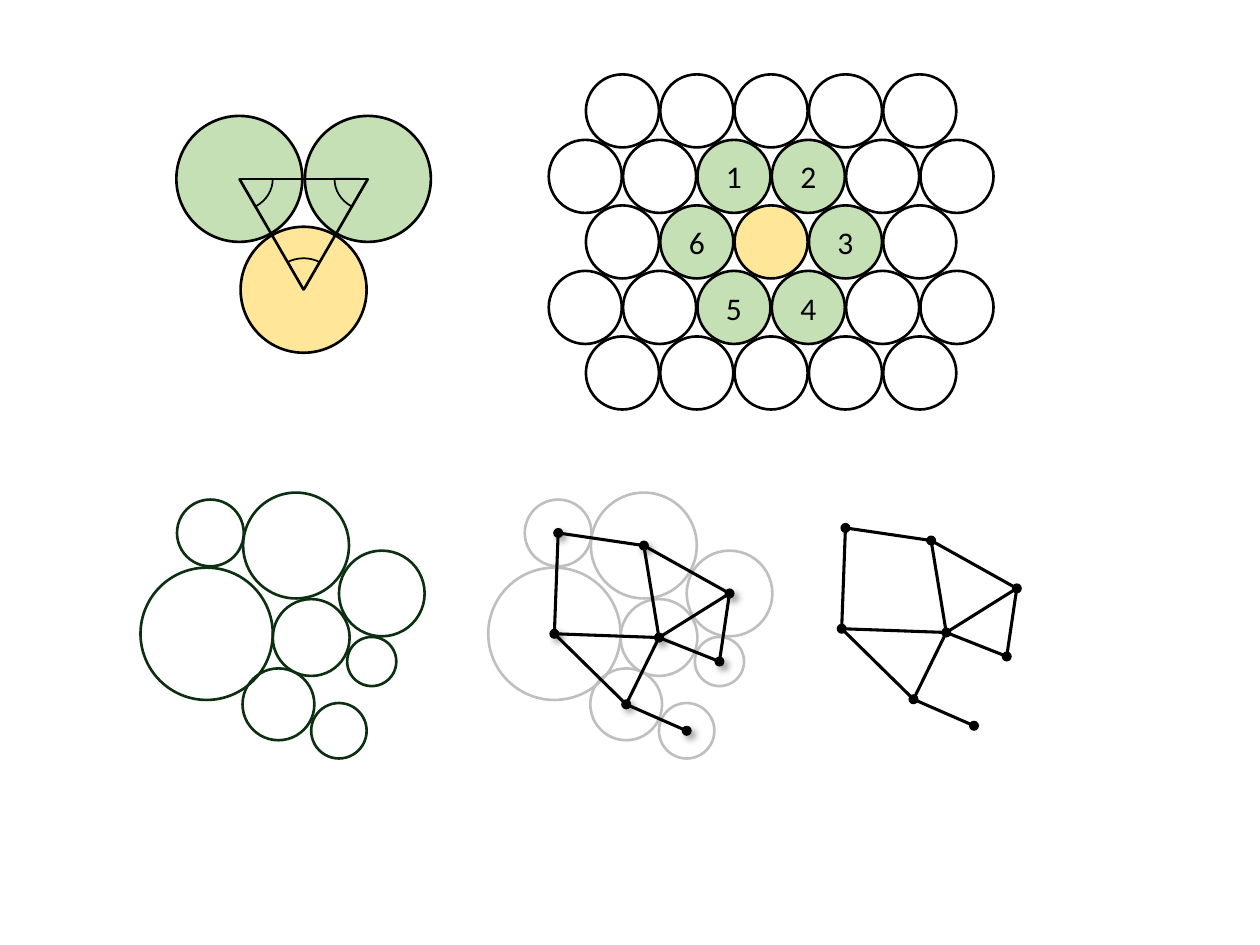
from lxml.etree import SubElement
from pptx import Presentation
from pptx.dml.color import RGBColor
from pptx.enum.shapes import MSO_CONNECTOR, MSO_SHAPE
from pptx.enum.text import MSO_ANCHOR, PP_ALIGN
from pptx.oxml import parse_xml
from pptx.oxml.ns import nsdecls, qn
from pptx.util import Inches, Pt

BLACK, WHITE, GREEN, YELLOW = "000000", "FFFFFF", "C5E0B4", "FFE699"
DARK_GREEN, GRAY = "0B2F10", "BFBFBF"

deck = Presentation()
deck.slide_width, deck.slide_height = Inches(10), Inches(7.5)
page = deck.slides.add_slide(deck.slide_layouts[6])
UNIT = deck.slide_width / 10  # the slide is a grid of 10 columns by 7.5 rows


def add_round(group, center, size, text="", kind=MSO_SHAPE.OVAL, fill=None,
              line=None, weight=1.5, font="Calibri", points=18, color=BLACK):
    """Add a round shape around its center, with optional centered text."""
    (x, y), (width, height) = center, size
    box = group.shapes.add_shape(
        kind, *(int(v * UNIT) for v in (x - width / 2, y - height / 2, width, height)))
    box.shadow.inherit = False
    if fill:
        box.fill.solid()
        box.fill.fore_color.rgb = RGBColor.from_string(fill)
    else:
        box.fill.background()
    if line:
        box.line.color.rgb = RGBColor.from_string(line)
        box.line.width = Pt(weight)
    else:
        box.line.fill.background()
    if text:
        frame = box.text_frame
        frame.margin_left = frame.margin_right = 0
        frame.margin_top = frame.margin_bottom = 0
        frame.vertical_anchor = MSO_ANCHOR.MIDDLE
        para = frame.paragraphs[0]
        para.alignment = PP_ALIGN.CENTER
        span = para.add_run()
        span.text = text
        span.font.name, span.font.size = font, Pt(points)
        span.font.color.rgb = RGBColor.from_string(color)
    return box


def add_line(group, start, end, weight):
    edge = group.shapes.add_connector(
        MSO_CONNECTOR.STRAIGHT, *(int(v * UNIT) for v in (*start, *end)))
    edge.line.color.rgb = RGBColor.from_string(BLACK)
    edge.line.width = Pt(weight)
    SubElement(edge._element.spPr, qn("a:effectLst"))


# Hexagonal packing: rows of five and six circles, six neighbors numbered
packing = page.shapes.add_group_shape()
neighbors = {(1, 2): "1", (1, 3): "2", (2, 3): "3",
             (3, 3): "4", (3, 2): "5", (2, 1): "6"}
PITCH, ROW_STEP = 0.59, 0.52
for row in range(5):
    wide = row % 2
    for column in range(5 + wide):
        label = neighbors.get((row, column), "")
        fill = GREEN if label else YELLOW if (row, column) == (2, 2) else WHITE
        center = (4.94 + (column - wide / 2) * PITCH, 0.88 + row * ROW_STEP)
        add_round(packing, center, (0.58, 0.58), label, fill=fill, line=BLACK)

# Three touching circles and the triangle of their centers
trio = page.shapes.add_group_shape()
bottom, left, right = corners = [(2.41, 2.3), (1.9, 1.42), (2.92, 1.42)]
for corner, fill in zip(corners, (YELLOW, GREEN, GREEN)):
    add_round(trio, corner, (1, 1), fill=fill, line=BLACK)
for start, end in ((left, right), (left, bottom), (bottom, right)):
    add_line(trio, start, end, 1.5)
for corner, first_degree in zip(corners, (240, 0, 120)):
    angle = add_round(trio, corner, (0.53, 0.5), kind=MSO_SHAPE.PIE,
                      line=BLACK, weight=1)
    # Angles are stored in 1/60000 degree, adjustments in 1/100000
    angle.adjustments[0] = first_degree * 0.6
    angle.adjustments[1] = (first_degree + 60) * 0.6

# Circle cluster, then with its contact graph, then the graph alone
cluster = {  # name: (center x, center y, diameter)
    "large": (1.64, 5.03, 1.05),
    "corner": (1.67, 4.23, 0.53),
    "top": (2.35, 4.33, 0.84),
    "bottom": (2.21, 5.59, 0.57),
    "middle": (2.47, 5.06, 0.61),
    "tail": (2.69, 5.8, 0.44),
    "right": (3.03, 4.71, 0.68),
    "small": (2.95, 5.25, 0.39),
}
contacts = [("corner", "top"), ("corner", "large"), ("top", "right"),
            ("middle", "top"), ("small", "right"), ("small", "middle"),
            ("bottom", "large"), ("middle", "bottom"), ("tail", "bottom"),
            ("right", "middle"), ("middle", "large")]
DOT_SHADOW = (
    f'<a:outerShdw {nsdecls("a")} blurRad="{Pt(4)}" dist="{Pt(3)}" dir="2700000" '
    'algn="tl" rotWithShape="0"><a:srgbClr val="000000"><a:alpha val="40000"/>'
    '</a:srgbClr></a:outerShdw>')
panels = [  # shift right, shift down, circle line, has graph
    (0, 0, DARK_GREEN, False),
    (2.76, 0, GRAY, True),
    (5.04, -0.04, None, True),
]
for shift_x, shift_y, outline, has_graph in panels:
    panel = page.shapes.add_group_shape()
    centers = {name: (x + shift_x, y + shift_y) for name, (x, y, _) in cluster.items()}
    if outline:
        for name, (_, _, diameter) in cluster.items():
            add_round(panel, centers[name], (diameter, diameter), line=outline)
    if has_graph:
        for center in centers.values():
            dot = add_round(panel, center, (0.08, 0.08), fill=BLACK)
            if outline:
                effects = dot._element.spPr.find(qn("a:effectLst"))
                effects.append(parse_xml(DOT_SHADOW))
        for start, end in contacts:
            add_line(panel, centers[start], centers[end], 1.75)

deck.save("out.pptx")
